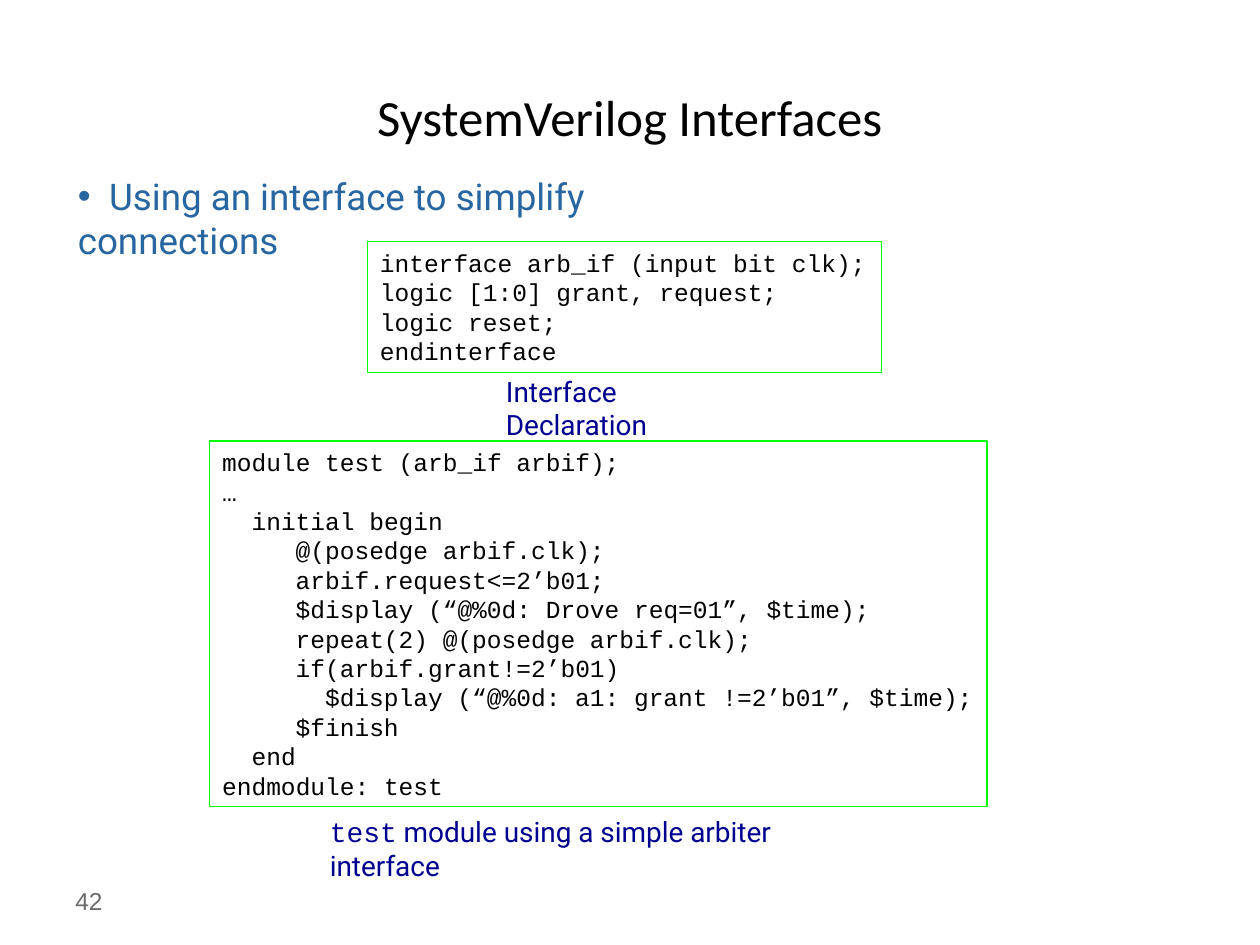
from pptx import Presentation
from pptx.dml.color import RGBColor
from pptx.enum.shapes import MSO_SHAPE
from pptx.enum.text import MSO_ANCHOR, PP_ALIGN
from pptx.oxml import parse_xml
from pptx.oxml.ns import nsdecls
from pptx.util import Cm, Pt

RECT = MSO_SHAPE.RECTANGLE
TOP, MIDDLE = MSO_ANCHOR.TOP, MSO_ANCHOR.MIDDLE
LEFT, CENTER = PP_ALIGN.LEFT, PP_ALIGN.CENTER
BLACK, GREEN, NAVY, BLUE, GRAY = "000000", "00FF00", "000090", "2766A0", "6B6B6B"
MONO = "Courier New"


def rgb(value):
    return RGBColor.from_string(value)


def add_text(sp, runs, size=14, color=BLACK, anchor=TOP, align=LEFT, new=False, margin=0, spacing=None):
    tf = sp.text_frame
    tf.word_wrap = True
    tf.vertical_anchor = anchor
    p = tf.add_paragraph() if new else tf.paragraphs[0]
    p.alignment = align
    p.line_spacing = spacing
    pPr = p._p.get_or_add_pPr()
    pPr.set("marL", str(margin))
    pPr.set("indent", "0")
    for text, font in runs:
        r = p.add_run()
        r.text = text
        r.font.name = font
        r.font.size = Pt(size)
        r.font.color.rgb = rgb(color)
    return p


prs = Presentation()
prs.slide_width, prs.slide_height = Cm(25.4), Cm(19.05)
s = prs.slides.add_slide(prs.slide_layouts[6])

number = s.shapes.add_textbox(Cm(1.27), Cm(17.65), Cm(5.92), Cm(1.02))
add_text(number, [("42", "Arial")], color=GRAY, anchor=MIDDLE)

title = s.shapes.add_textbox(Cm(1.27), Cm(0.76), Cm(22.86), Cm(3.18))
add_text(title, [("SystemVerilog Interfaces", "Calibri")], size=29, anchor=MIDDLE, align=CENTER)

bullet = s.shapes.add_textbox(Cm(1.32), Cm(3.38), Cm(14.5), Cm(1.14))
p = add_text(bullet, [("\tUsing an interface to simplify connections", "Roboto")], size=21, color=BLUE)
pPr = p._p.get_or_add_pPr()
pPr.append(parse_xml(f'<a:buFont {nsdecls("a")} typeface="Arial"/>'))
pPr.append(parse_xml(f'<a:buChar {nsdecls("a")} char="•"/>'))
pPr.append(parse_xml(f'<a:tabLst {nsdecls("a")}><a:tab pos="{Cm(0.63)}" algn="l"/></a:tabLst>'))

interface_code = [
    (0, "interface arb_if (input bit clk);"),
    (0, "logic [1:0] grant, request;"),
    (0, "logic reset;"),
    (0, "endinterface"),
]
module_code = [
    (0, "module test (arb_if arbif);"),
    (0, "…"),
    (2, "initial begin"),
    (5, "@(posedge arbif.clk);"),
    (5, "arbif.request<=2’b01;"),
    (5, "$display (“@%0d: Drove req=01”, $time);"),
    (5, "repeat(2) @(posedge arbif.clk);"),
    (5, "if(arbif.grant!=2’b01)"),
    (7, "$display (“@%0d: a1: grant !=2’b01”, $time);"),
    (5, "$finish"),
    (2, "end"),
    (0, "endmodule: test"),
]
for x, y, w, h, code in [
    (7.41, 4.87, 10.36, 2.64, interface_code),
    (4.23, 8.89, 15.67, 7.37, module_code),
]:
    sp = s.shapes.add_shape(RECT, Cm(x), Cm(y), Cm(w), Cm(h))
    sp.shadow.inherit = False
    sp.fill.background()
    sp.line.color.rgb = rgb(GREEN)
    sp.line.width = Pt(0.75)
    sp.text_frame.margin_right = Cm(0.1)
    for i, (columns, line) in enumerate(code):
        add_text(sp, [(line, MONO)], new=i > 0, margin=Pt(8.4 * columns), spacing=Pt(16.8))

for x, y, w, runs in [
    (9.95, 7.42, 5.49, [("Interface Declaration", "Roboto")]),
    (6.4, 16.3, 11.38, [("test", MONO), (" module using a simple arbiter interface", "Roboto")]),
]:
    caption = s.shapes.add_textbox(Cm(x), Cm(y), Cm(w), Cm(0.94))
    add_text(caption, runs, size=16, color=NAVY)

prs.save("out.pptx")
